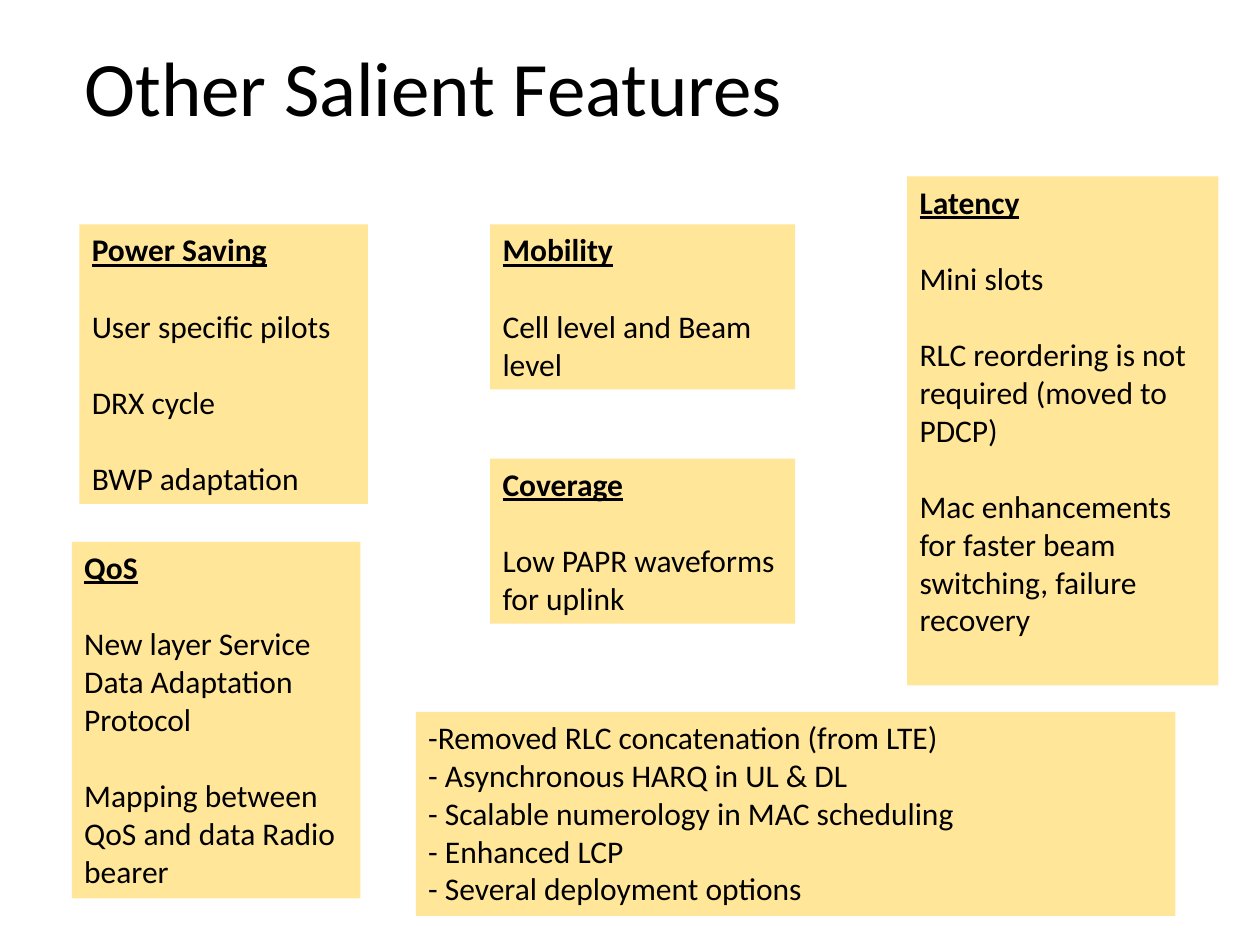
from pptx import Presentation
from pptx import util as u
from pptx.dml.color import RGBColor
from pptx.enum import text

BLACK = RGBColor(0x00, 0x00, 0x00)
SAND = RGBColor(0xFF, 0xE6, 0x99)
FONT = "Calibri"
LINE_GAP = 22

FEATURES = [
    ("Power Saving", (0.63, 1.78, 2.29, 2.22),
     ["User specific pilots", "DRX cycle", "BWP adaptation"]),
    ("Mobility", (3.89, 1.78, 2.42, 1.31), ["Cell level and Beam level"]),
    ("Latency", (7.2, 1.4, 2.47, 4.04),
     ["Mini slots",
      "RLC reordering is not required (moved to PDCP)",
      "Mac enhancements for faster beam switching, failure recovery"]),
    ("QoS", (0.57, 4.3, 2.29, 2.83),
     ["New layer Service Data Adaptation Protocol",
      "Mapping between QoS and data Radio bearer"]),
    ("Coverage", (3.89, 3.64, 2.42, 1.31), ["Low PAPR waveforms for uplink"]),
]
OTHER_CHANGES = [
    "-Removed RLC concatenation (from LTE)",
    "- Asynchronous HARQ in UL & DL",
    "- Scalable numerology in MAC scheduling",
    "- Enhanced LCP",
    "- Several deployment options",
]


def write(para, words, size=18, bold=False, underline=False, before=0, spacing=1.0):
    """Write one left-aligned formatted span into a paragraph."""
    para.alignment = text.PP_ALIGN.LEFT
    para.space_before = u.Pt(before)
    para.line_spacing = spacing
    span = para.add_run()
    span.text = words
    span.font.name = FONT
    span.font.size = u.Pt(size)
    span.font.bold = bold
    span.font.underline = underline
    span.font.color.rgb = BLACK


def place(shape, bounds):
    """Move and size a shape in inches."""
    shape.left, shape.top, shape.width, shape.height = map(u.Inches, bounds)


def add_title(page, words, bounds):
    """Format the title placeholder of the page."""
    title = page.shapes.title
    place(title, bounds)
    title.text_frame.vertical_anchor = text.MSO_ANCHOR.MIDDLE
    write(title.text_frame.paragraphs[0], words, size=44, spacing=0.9)


def add_box(page, bounds, lines, heading=None, gap=0):
    """Add a filled text box with an optional underlined heading."""
    box = page.shapes.add_textbox(*map(u.Inches, bounds))
    box.fill.solid()
    box.fill.fore_color.rgb = SAND
    frame = box.text_frame
    frame.word_wrap = True
    entries = [heading, *lines] if heading else lines
    for index, words in enumerate(entries):
        para = frame.add_paragraph() if index else frame.paragraphs[0]
        is_heading = bool(heading) and index == 0
        write(para, words, bold=is_heading, underline=is_heading,
              before=gap if index else 0)


def main():
    """Build and save the deck."""
    deck = Presentation()
    deck.slide_width, deck.slide_height = u.Inches(10), u.Inches(7.5)
    page = deck.slides.add_slide(deck.slide_layouts[5])
    add_title(page, "Other Salient Features", (0.57, 0, 8.62, 1.45))
    for heading, bounds, lines in FEATURES:
        add_box(page, bounds, lines, heading=heading, gap=LINE_GAP)
    add_box(page, (3.3, 5.65, 6.03, 1.62), OTHER_CHANGES)
    deck.save("out.pptx")


main()
